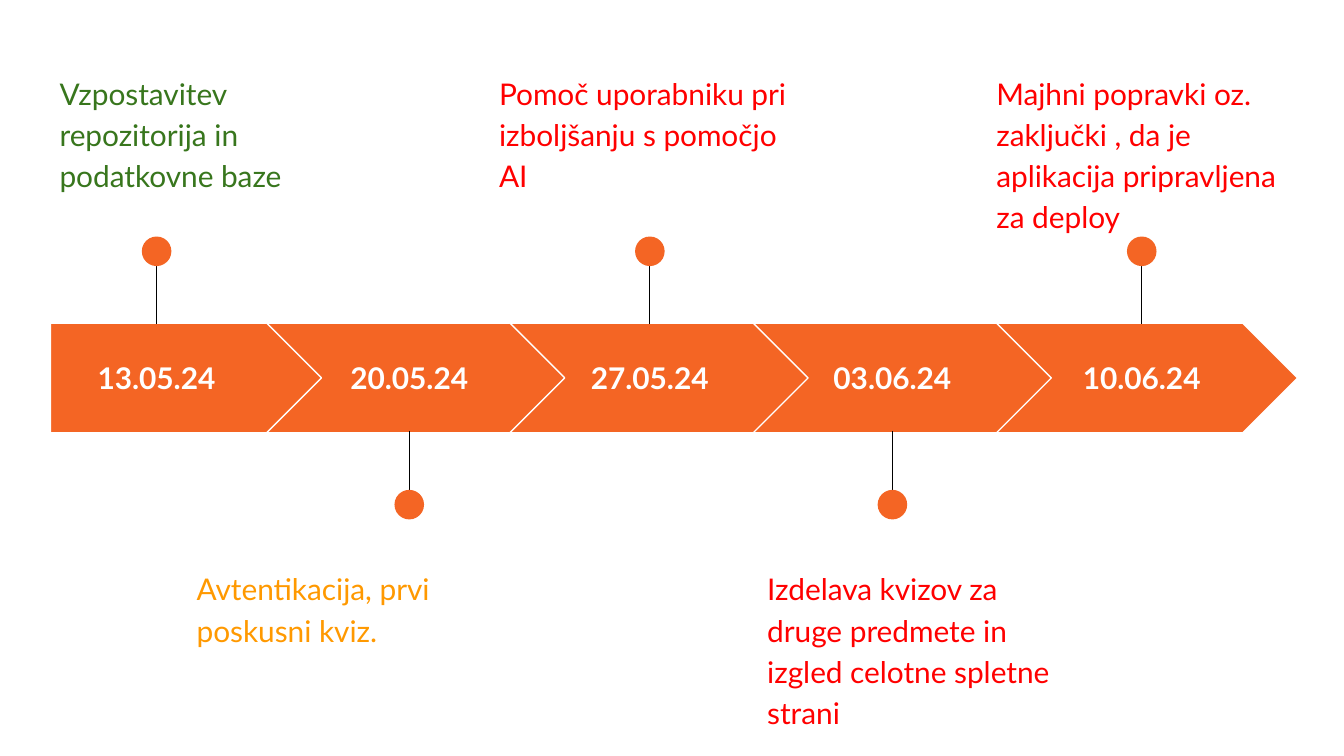
from lxml import etree
from pptx import Presentation
from pptx.dml.color import RGBColor
from pptx.enum.shapes import MSO_CONNECTOR, MSO_SHAPE
from pptx.enum.text import MSO_ANCHOR, PP_ALIGN
from pptx.oxml.ns import qn
from pptx.util import Pt

SCALE = 4572
ORANGE = RGBColor(0xF4, 0x65, 0x24)
WHITE = RGBColor(0xFF, 0xFF, 0xFF)
BLACK = RGBColor(0x00, 0x00, 0x00)
GREEN = RGBColor(0x38, 0x76, 0x1D)
AMBER = RGBColor(0xFF, 0x99, 0x00)
RED = RGBColor(0xFF, 0x00, 0x00)
PENTAGON, CHEVRON, OVAL = MSO_SHAPE.PENTAGON, MSO_SHAPE.CHEVRON, MSO_SHAPE.OVAL
STRAIGHT = MSO_CONNECTOR.STRAIGHT
TOP, MIDDLE = MSO_ANCHOR.TOP, MSO_ANCHOR.MIDDLE
LEFT, CENTER = PP_ALIGN.LEFT, PP_ALIGN.CENTER

WIDTH, HEIGHT = 2000, 1125
BAND_TOP, BAND_HEIGHT = 481, 163
FIRST_LEFT, FIRST_WIDTH = 75, 409
CHEVRON_LEFT, CHEVRON_WIDTH, CHEVRON_STEP = 397, 448, 362
DATE_WIDTH = 288
DOT = 44
MILESTONES = [
    ("13.05.24", 233, 69, "Vzpostavitev repozitorija in podatkovne baze", GREEN),
    ("20.05.24", 609, 273, "Avtentikacija, prvi poskusni kviz.", AMBER),
    ("27.05.24", 967, 723, "Pomoč uporabniku pri izboljšanju s pomočjo AI", RED),
    ("03.06.24", 1328, 1122,
     "Izdelava kvizov za druge predmete in izgled celotne spletne strani", RED),
    ("10.06.24", 1699, 1463,
     "Majhni popravki oz. zaključki , da je aplikacija pripravljena za deploy", RED),
]


class TimelineSlide:
    """Holds the text style and the slide, and draws the timeline's elements."""

    font_name = "Lato"
    font_size = Pt(16)
    line_width = Pt(0.75)
    inset = 20 * SCALE

    def __init__(self, slide):
        self.slide = slide

    def shape(self, kind, left, top, width, height, outline=None):
        box = [value * SCALE for value in (left, top, width, height)]
        shape = self.slide.shapes.add_shape(kind, *box)
        shape.shadow.inherit = False
        shape.fill.solid()
        shape.fill.fore_color.rgb = ORANGE
        if outline is None:
            shape.line.fill.background()
        else:
            shape.line.color.rgb = outline
            shape.line.width = self.line_width

    def text(self, words, left, top, width, height, color, anchor=TOP, align=LEFT):
        box = [value * SCALE for value in (left, top, width, height)]
        frame = self.slide.shapes.add_textbox(*box).text_frame
        frame.word_wrap = True
        frame.vertical_anchor = anchor
        frame.margin_left = frame.margin_right = self.inset
        frame.margin_top = frame.margin_bottom = self.inset
        paragraph = frame.paragraphs[0]
        paragraph.text = words
        paragraph.alignment = align
        paragraph.font.name = self.font_name
        paragraph.font.size = self.font_size
        paragraph.font.color.rgb = color
        return paragraph

    def date(self, words, center):
        left = center - DATE_WIDTH // 2
        paragraph = self.text(words, left, 511, DATE_WIDTH, 102, WHITE, MIDDLE, CENTER)
        paragraph.font.bold = True

    def caption(self, words, left, top, color):
        paragraph = self.text(words, left, top, 490, 198, color)
        paragraph.line_spacing = 1.15
        paragraph.space_after = Pt(16)

    def pin(self, center, start, end, dot_top):
        points = [value * SCALE for value in (center, start, center, end)]
        line = self.slide.shapes.add_connector(STRAIGHT, *points)
        line.line.color.rgb = BLACK
        line.line.width = self.line_width
        etree.SubElement(line._element.spPr, qn("a:effectLst"))
        self.shape(OVAL, center - DOT // 2, dot_top, DOT, DOT)

    def arrow(self, index):
        if index == 0:
            kind, left, width = PENTAGON, FIRST_LEFT, FIRST_WIDTH
        else:
            left = CHEVRON_LEFT + CHEVRON_STEP * (index - 1)
            kind, width = CHEVRON, CHEVRON_WIDTH
        self.shape(kind, left, BAND_TOP, width, BAND_HEIGHT, WHITE)


def main():
    presentation = Presentation()
    presentation.slide_width = WIDTH * SCALE
    presentation.slide_height = HEIGHT * SCALE
    timeline = TimelineSlide(presentation.slides.add_slide(presentation.slide_layouts[6]))
    for index, (date, center, left, words, color) in enumerate(MILESTONES):
        timeline.arrow(index)
        timeline.date(date, center)
        if index % 2 == 0:
            timeline.pin(center, 360, 482, 352)
            timeline.caption(words, left, 84, color)
        else:
            timeline.pin(center, 764, 642, 729)
            timeline.caption(words, left, 822, color)
    presentation.save("out.pptx")


if __name__ == "__main__":
    main()
